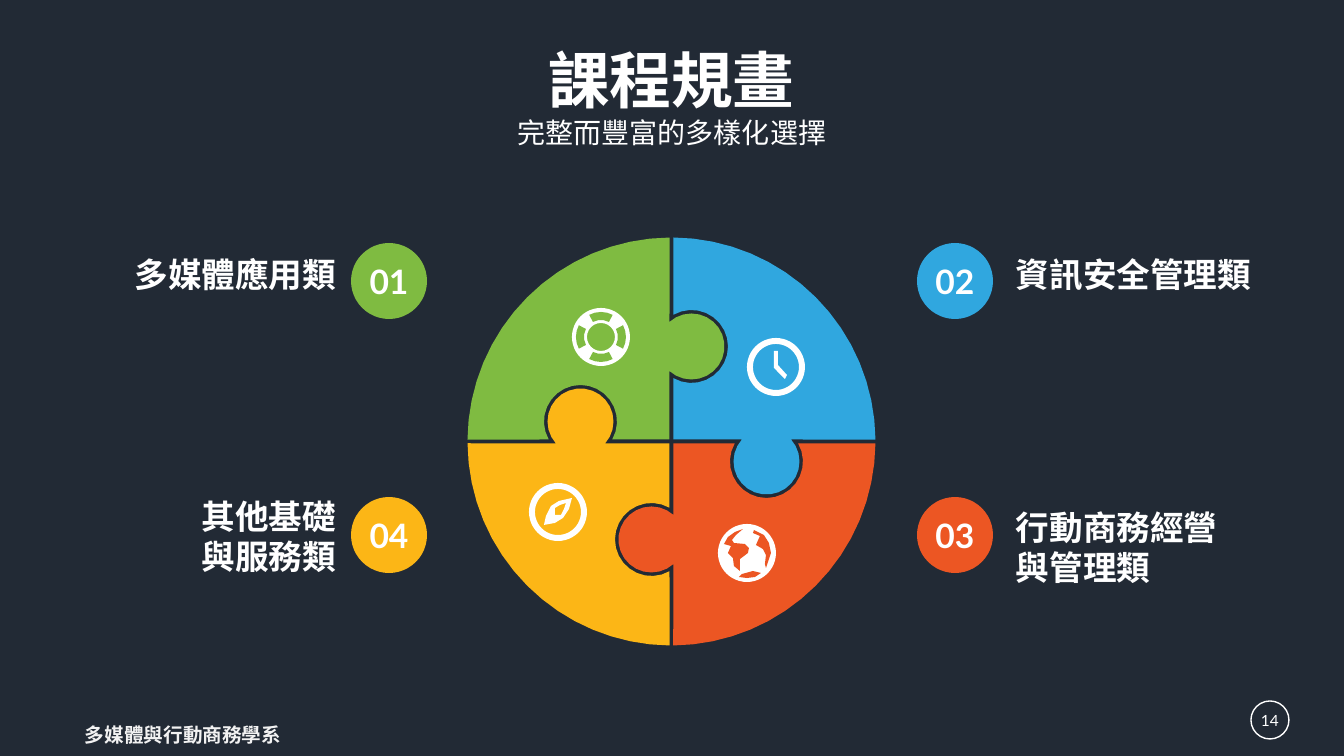
"""Build the curriculum slide with a four-piece circular puzzle."""
import math

import pptx
import pptx.dml.color
import pptx.enum.shapes
import pptx.enum.text
import pptx.util

SLIDE_SIZE = (1344, 756)
PX = 914400 / 100.8
UNITS = 100
CENTER = (671.5, 441.5)
PIE_RADIUS, HALF_GAP = 204, 2
KNOB_RADIUS, SOCKET_RADIUS, KNOB_REACH = 33, 36.5, 20
BADGE_SIZE, ICON_RADIUS = 76, 29
ARC_TOLERANCE = 0.25

THEME = {
    "font": "Lato", "background": "222A35", "white": "FFFFFF", "soft": "F2F2F2",
    "green": "7FBB41", "blue": "30A7DF", "red": "EC5623", "yellow": "FCB616",
    "title": 44, "subtitle": 20, "label": 24, "footer": 14, "page": 11,
}

HEADINGS = [
    {"box": (537, 37, 269, 85), "lines": ["課程規畫"], "size": "title", "bold": True,
     "align": "CENTER", "wrap": False},
    {"box": (506, 111, 332, 44), "lines": ["完整而豐富的多樣化選擇"], "size": "subtitle",
     "align": "CENTER", "wrap": False},
    {"box": (75, 718, 273, 34), "lines": ["多媒體與行動商務學系"], "size": "footer",
     "bold": True, "ink": "soft"},
]
PAGE = {"number": "14", "box": (1251, 701, 38, 38)}

CATEGORIES = [
    {"number": "01", "color": "green", "knob": 95, "badge": (351, 243),
     "box": (79, 249, 267, 50), "align": "RIGHT", "lines": ["多媒體應用類"]},
    {"number": "02", "color": "blue", "knob": 95, "badge": (917, 243),
     "box": (1006, 249, 267, 50), "align": "LEFT", "lines": ["資訊安全管理類"]},
    {"number": "03", "color": "red", "knob": 98, "badge": (917, 497),
     "box": (1006, 502, 303, 92), "align": "LEFT", "lines": ["行動商務經營", "與管理類"]},
    {"number": "04", "color": "yellow", "knob": 91, "badge": (351, 497),
     "box": (79, 491, 267, 92), "align": "RIGHT", "lines": ["其他基礎", "與服務類"]},
]

COMPASS_NEEDLE = [
    [(-14, 13), (-12, 4), (-7, -6), (1, -11), (14, -14), (11, -3), (5, 6), (-3, 11)],
    [(-3, -4), (2, -7), (8, -9), (6, -3), (3, 3), (-3, 3)],
]
CLOCK_HANDS = [[(-2, -16), (2, -16), (2, -2), (11, 8), (9, 12), (-2, 1)]]
GLOBE_LANDS = [
    [(24, 0), (19, 15), (18, 11), (19, 2), (16, -4), (9, -8), (13, -17), (6, -20),
     (7, -23), (17, -18), (22, -10)],
    [(-4, -24), (-11, -18), (-15, -13), (-13, -10), (-2, -9), (2, -5), (1, 0), (-7, 6),
     (-7, 18), (-13, 13), (-14, 5), (-19, 0), (-16, -7), (-23, -9), (-19, -16), (-12, -21)],
    [(-8, 24), (-5, 21), (6, 18), (14, 20), (8, 24), (0, 25)],
]


def arc(radius, start, end, center=(0, 0)):
    """Return the fewest points that keep an arc smooth, with angles in degrees."""
    widest = math.degrees(2 * math.acos(1 - ARC_TOLERANCE / radius))
    steps = math.ceil(abs(end - start) / widest)
    angles = [math.radians(start + (end - start) * step / steps) for step in range(steps + 1)]
    return [(center[0] + radius * math.cos(a), center[1] + radius * math.sin(a)) for a in angles]


def turn(points, quarters):
    """Rotate points clockwise by quarter turns."""
    for _ in range(quarters):
        points = [(-y, x) for x, y in points]
    return points


def piece_outline(knob, socket):
    """Return the upper-left piece, with its knob right and socket below."""
    socket_angle = math.degrees(math.asin((KNOB_REACH - HALF_GAP) / SOCKET_RADIUS))
    knob_angle = 180 - math.degrees(math.acos((KNOB_REACH + HALF_GAP) / KNOB_RADIUS))
    return (arc(PIE_RADIUS, -90.5, -179.5)
            + arc(SOCKET_RADIUS, 180 - socket_angle, 360 + socket_angle, (-socket, -KNOB_REACH))
            + [(-HALF_GAP, -HALF_GAP)]
            + arc(KNOB_RADIUS, knob_angle, -knob_angle, (KNOB_REACH, -knob)))


RING_WINDOW = arc(25, -118, -62) + arc(17, -62, -118)
ICONS = [
    {"center": (601, 337), "hole": 14, "fill": "green",
     "contours": [turn(RING_WINDOW, quarter) for quarter in range(4)]},
    {"center": (776, 367), "hole": 23, "fill": "white", "contours": CLOCK_HANDS},
    {"center": (747, 553), "hole": 0, "fill": "red", "contours": GLOBE_LANDS},
    {"center": (558, 512), "hole": 23, "fill": "white", "contours": COMPASS_NEEDLE},
]


def color(name):
    """Look up a theme colour."""
    return pptx.dml.color.RGBColor.from_string(THEME[name])


def emu(values):
    """Turn px lengths into EMU."""
    return [round(value * PX) for value in values]


def apply(target, values):
    """Set each format value on the target."""
    for name, value in values.items():
        setattr(target, name, value)


def paint(shape, fill):
    """Fill a shape flat, without line or shadow."""
    shape.shadow.inherit = False
    shape.fill.solid()
    shape.fill.fore_color.rgb = color(fill)
    shape.line.fill.background()


def write(shape, lines, size, bold=False, align="LEFT", ink="white"):
    """Write one paragraph per line."""
    frame = shape.text_frame
    for index, line in enumerate(lines):
        paragraph = frame.add_paragraph() if index else frame.paragraphs[0]
        paragraph.alignment = getattr(pptx.enum.text.PP_ALIGN, align)
        run = paragraph.add_run()
        run.text = line
        apply(run.font, {"name": THEME["font"], "size": pptx.util.Pt(THEME[size]), "bold": bold})
        run.font.color.rgb = color(ink)


def add_label(slide, box, lines, size, bold=False, align="LEFT", wrap=True, ink="white"):
    """Add a text box."""
    shape = slide.shapes.add_textbox(*emu(box))
    shape.text_frame.word_wrap = wrap
    write(shape, lines, size, bold, align, ink)


def add_disc(slide, box, number, size, fill, bold=False):
    """Add a circle with a number in its middle."""
    shape = slide.shapes.add_shape(pptx.enum.shapes.MSO_SHAPE.OVAL, *emu(box))
    paint(shape, fill)
    apply(shape.text_frame, {
        "margin_left": 0, "margin_right": 0, "margin_top": 0, "margin_bottom": 0,
        "word_wrap": False, "vertical_anchor": pptx.enum.text.MSO_ANCHOR.MIDDLE})
    write(shape, [number], size, bold, "CENTER")
    return shape


def add_outline(slide, center, contours, fill):
    """Add one freeform made of closed contours around a centre."""
    placed = [[((center[0] + x) * UNITS, (center[1] + y) * UNITS) for x, y in contour]
              for contour in contours]
    builder = slide.shapes.build_freeform(*placed[0][0], scale=PX / UNITS)
    for index, contour in enumerate(placed):
        if index:
            builder.move_to(*contour[0])
        builder.add_line_segments(contour[1:], close=True)
    paint(builder.convert_to_shape(), fill)


def add_icon(slide, center, hole, fill, contours):
    """Add a white ring or disc with its details on top."""
    kinds = pptx.enum.shapes.MSO_SHAPE
    corner = [middle - ICON_RADIUS for middle in center]
    box = emu([*corner, 2 * ICON_RADIUS, 2 * ICON_RADIUS])
    shape = slide.shapes.add_shape(kinds.DONUT if hole else kinds.OVAL, *box)
    if hole:
        shape.adjustments[0] = (ICON_RADIUS - hole) / (2 * ICON_RADIUS)
    paint(shape, "white")
    add_outline(slide, center, contours, fill)


def main():
    """Build and save the slide."""
    presentation = pptx.Presentation()
    width, height = emu(SLIDE_SIZE)
    apply(presentation, {"slide_width": width, "slide_height": height})
    slide = presentation.slides.add_slide(presentation.slide_layouts[6])
    slide.background.fill.solid()
    slide.background.fill.fore_color.rgb = color("background")
    page = add_disc(slide, PAGE["box"], PAGE["number"], "page", "background")
    page.line.color.rgb = color("white")
    page.line.width = pptx.util.Pt(1)
    for heading in HEADINGS:
        add_label(slide, **heading)
    for index, category in enumerate(CATEGORIES):
        outline = piece_outline(category["knob"], CATEGORIES[index - 1]["knob"])
        add_outline(slide, CENTER, [turn(outline, index)], category["color"])
        badge = (*category["badge"], BADGE_SIZE, BADGE_SIZE)
        add_disc(slide, badge, category["number"], "label", category["color"], True)
        add_label(slide, category["box"], category["lines"], "label", True, category["align"])
    for icon in ICONS:
        add_icon(slide, **icon)
    presentation.save("out.pptx")


if __name__ == "__main__":
    main()
